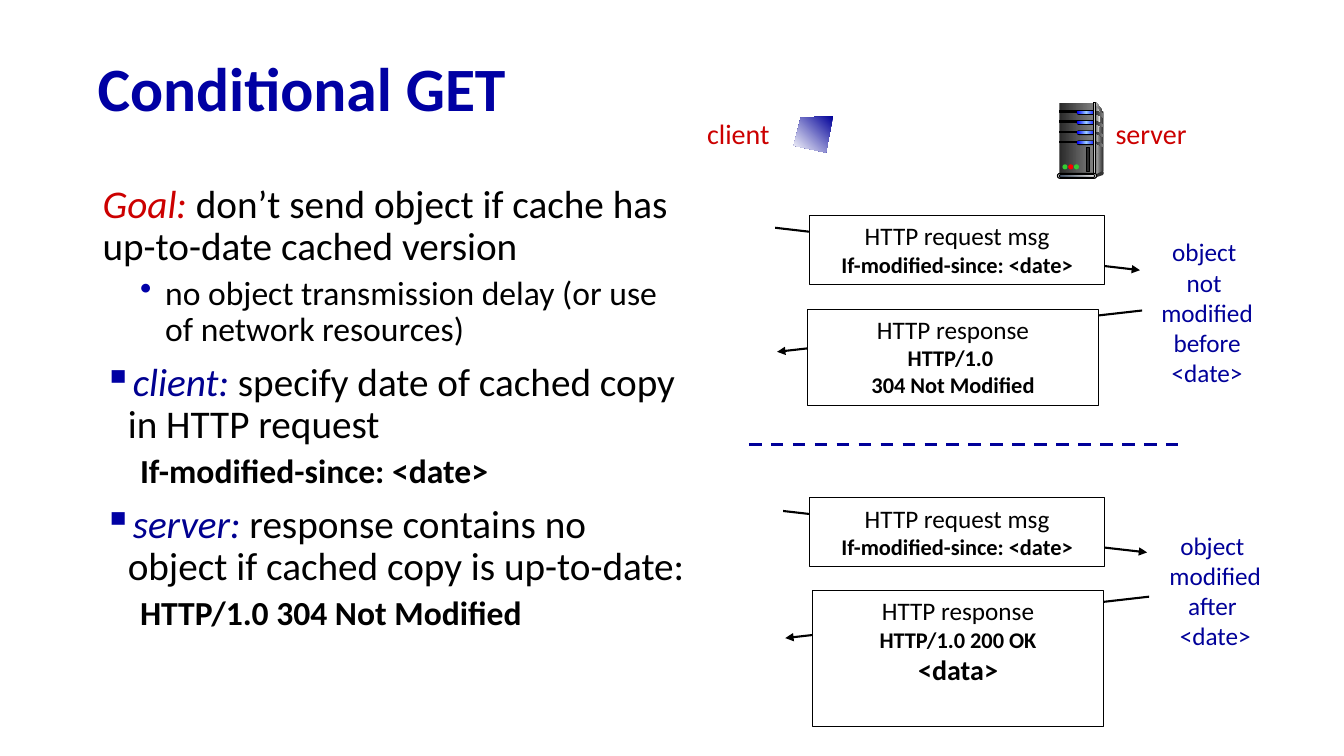
from copy import deepcopy

from lxml.etree import SubElement
from pptx import Presentation
from pptx.dml.color import RGBColor
from pptx.enum.dml import MSO_LINE
from pptx.enum.shapes import MSO_CONNECTOR, MSO_SHAPE
from pptx.enum.text import MSO_ANCHOR, PP_ALIGN
from pptx.oxml.ns import qn
from pptx.util import Pt

COLOURS = {
    "title": "0000A3", "bullet": "0000A8", "role": "000090", "note": "000099",
    "red": "CC0000", "black": "000000", "white": "FFFFFF",
    "charcoal": "292929", "dark": "333333", "grey": "808080", "silver": "DDDDDD",
    "pale": "F8F8F8", "blue": "0000FF", "sky": "99CCFF", "green": "33CC33",
    "signal": "FF0000", "slate": "44546A", "mist": "E7E6E6",
}
RGB = {name: RGBColor.from_string(code) for name, code in COLOURS.items()}

deck = Presentation()
deck.slide_width, deck.slide_height = Pt(960), Pt(540)
page = deck.slides.add_slide(deck.slide_layouts[6])
shapes = page.shapes


def paint(shape, fill, outline=False, angle=0):
    """Fill with one colour, or with an even gradient when several are named."""
    shape.shadow.inherit = False
    names = fill.split()
    if len(names) == 1:
        shape.fill.solid()
        shape.fill.fore_color.rgb = RGB[fill]
    else:
        shape.fill.gradient()
        shape.fill.gradient_angle = angle
        stops = shape._element.spPr.find(".//" + qn("a:gsLst"))
        for _ in names[2:]:
            stops.append(deepcopy(stops[0]))
        for number, (stop, name) in enumerate(zip(shape.fill.gradient_stops, names)):
            stop.color.rgb = RGB[name]
            stop.position = number / (len(names) - 1)
    if outline:
        shape.line.color.rgb = RGB["black"]
        shape.line.width = Pt(0.75)
    else:
        shape.line.fill.background()


def write(frame, paragraphs, wrap=True, anchor=MSO_ANCHOR.TOP, **layout):
    """Each paragraph is a list of (text, size, colour, font values) runs."""
    frame.word_wrap, frame.vertical_anchor = wrap, anchor
    for number, runs in enumerate(paragraphs):
        para = frame.add_paragraph() if number else frame.paragraphs[0]
        for name, value in layout.items():
            setattr(para, name, value)
        for text, size, colour, values in runs:
            span = para.add_run()
            span.text = text
            span.font.color.rgb = RGB[colour]
            for name, value in {"name": "Calibri", "size": Pt(size), **values}.items():
                setattr(span.font, name, value)


BOLD, ITALIC = {"bold": True}, {"italic": True}

title = shapes.add_textbox(Pt(62.6), Pt(30.2), Pt(828), Pt(70.6))
write(title.text_frame, [[("Conditional GET", 44, "title", BOLD)]],
      anchor=MSO_ANCHOR.MIDDLE, line_spacing=0.9)

# Body: runs, level, left margin, first-line indent, bullet, bullet colour
points = [
    ([("Goal:", 28, "red", ITALIC),
      (" don’t send object if cache has up-to-date cached version", 28, "black", {})],
     0, 10, 0, None, None),
    ([("no object transmission delay (or use of network resources)", 24, "black", {})],
     1, 54.7, -18, "•", "bullet"),
    ([("client: ", 28, "role", ITALIC),
      ("specify date of cached copy in HTTP request", 28, "black", {})],
     0, 28, -17.3, "▪", "title"),
    ([("If-modified-since: <date>", 24, "black", BOLD)], 1, 54.7, -18, None, None),
    ([("server: ", 28, "role", ITALIC),
      ("response contains no object if cached copy is up-to-date:", 28, "black", {})],
     0, 28, -17.3, "▪", "title"),
    ([("HTTP/1.0 304 Not Modified", 24, "black", BOLD)], 1, 54.7, -18, None, None),
]
body = shapes.add_textbox(Pt(56.2), Pt(128.2), Pt(440.6), Pt(404))
write(body.text_frame, [point[0] for point in points], line_spacing=0.9)
for number, (para, point) in enumerate(zip(body.text_frame.paragraphs, points)):
    _, level, margin, indent, bullet, colour = point
    para.level = level
    para.space_before = Pt((5 if level else 10) if number else 0)
    props = para._p.get_or_add_pPr()
    props.set("marL", str(Pt(margin)))
    props.set("indent", str(Pt(indent)))
    if bullet:
        tint = SubElement(props, qn("a:buClr"))
        SubElement(tint, qn("a:srgbClr"), val=COLOURS[colour])
        SubElement(props, qn("a:buChar"), char=bullet)

# Message arrows and the divider between the two cases
lines = [
    (553.7, 162.7, 814.3, 193, True),
    (815.8, 221.8, 555.1, 251.3, True),
    (559.4, 365, 819.4, 394.6, True),
    (820.8, 426.2, 560.9, 455.8, True),
    (535, 317.5, 842.4, 317.5, False),
]
for *ends, is_arrow in lines:
    line = shapes.add_connector(MSO_CONNECTOR.STRAIGHT, *map(Pt, ends))
    line.line.color.rgb = RGB["black" if is_arrow else "note"]
    line.line.width = Pt(1.5 if is_arrow else 2.25)
    if is_arrow:
        SubElement(line.line._get_or_add_ln(), qn("a:tailEnd"), type="triangle")
    else:
        line.line.dash_style = MSO_LINE.DASH
    SubElement(line._element.spPr, qn("a:effectLst"))

request = [("HTTP request msg", 18), ("If-modified-since: <date>", 16)]
messages = [
    (578.2, 154.1, 211, 49, request),
    (576.7, 221, 208.1, 68.4,
     [("HTTP response", 18), ("HTTP/1.0 ", 16), ("304 Not Modified", 16)]),
    (578.2, 355.7, 211, 49, request),
    (580.3, 421.9, 208.1, 97.2,
     [("HTTP response", 18), ("HTTP/1.0 200 OK", 16), ("<data>", 20)]),
]
for *place, texts in messages:
    box = shapes.add_shape(MSO_SHAPE.RECTANGLE, *map(Pt, place))
    paint(box, "white", outline=True)
    write(box.text_frame,
          [[(text, size, "black", BOLD if row else {})]
           for row, (text, size) in enumerate(texts)],
          alignment=PP_ALIGN.CENTER)

labels = [
    (820.8, 165.6, 82.8, 115.2, 18, "note",
     ["object ", "not ", "modified", "before", "<date>"]),
    (826.6, 375.1, 82.8, 93.6, 18, "note", ["object ", "modified", "after ", "<date>"]),
    (496.8, 79.9, 61.2, 31, 20, "red", ["client"]),
    (789.1, 79.9, 66.2, 31, 20, "red", ["server"]),
]
for *place, size, colour, texts in labels:
    label = shapes.add_textbox(*map(Pt, place))
    write(label.text_frame, [[(text, size, colour, {})] for text in texts],
          wrap=False, alignment=PP_ALIGN.CENTER)

# Server tower and client screen: outlines, then preset parts
outlines = [
    ("silver dark", 0, [(782.6, 73.4), (787.7, 79.9), (787.7, 122.4), (781.2, 125.3)]),
    ("grey pale", 0, [(782.6, 76.3), (786.2, 80.6), (783.5, 100), (782.6, 123.8)]),
    ("dark", 0, [(781.9, 124.6), (781.9, 127.4), (787.7, 124.6), (787.7, 122.4)]),
    ("note white", 225, [(595.4, 82.8), (571.7, 83.5), (567.4, 103.7), (589.7, 109.4)]),
]
rectangle, pill, oval = MSO_SHAPE.RECTANGLE, MSO_SHAPE.ROUNDED_RECTANGLE, MSO_SHAPE.OVAL
parts = [(rectangle, 756.7, 73.4, 24.5, 51.8, "charcoal grey", False)]
for bay in range(4):
    top = 79.2 + 7.2 * bay
    outlines.append(("charcoal grey", 0, [(781.9, top), (787.7, top + 2.2),
                                          (787.7, top + 4.3), (781.9, top + 1.4)]))
    parts += [
        (rectangle, 756.7, top, 13.7, 1, "black", True),
        (pill, 769, top - 0.5, 13.7, 3.4, "black", False),
        (pill, 769.4, top, 13, 2.2, "blue sky blue", False),
    ]
parts += [
    (rectangle, 781.2, 73.4, 1.4, 51.8, "dark silver dark", True),
    (oval, 787, 122.4, 1.4, 2.2, "dark", False),
    (pill, 755.3, 123.8, 28.1, 3.6, "silver", True),
    (pill, 756.7, 124.6, 25.2, 2.2, "slate mist", True),
    (rectangle, 776.2, 105.1, 2.2, 17.3, "charcoal", True),
]
for number, light in enumerate(["green", "signal", "green"]):
    parts.append((oval, 758.9 + 4.1 * number, 117.4, 3.6, 3.6, light, False))

for fill, angle, corners in outlines:
    pen = shapes.build_freeform(*corners[0], scale=Pt(1))
    pen.add_line_segments(corners[1:], close=True)
    paint(pen.convert_to_shape(), fill, angle=angle)
for kind, *place, fill, outline in parts:
    part = shapes.add_shape(kind, *map(Pt, place))
    if kind == pill:
        part.adjustments[0] = 0.5
    paint(part, fill, outline)

deck.save("out.pptx")
